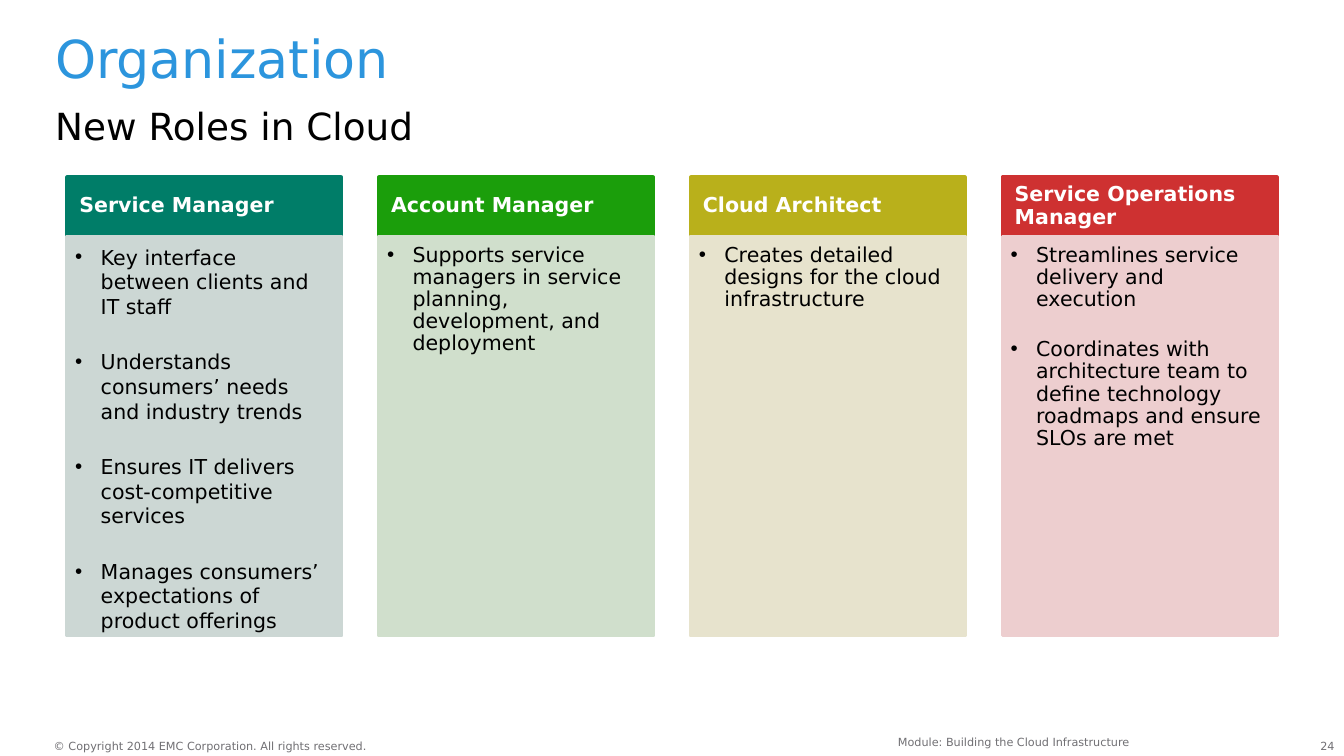
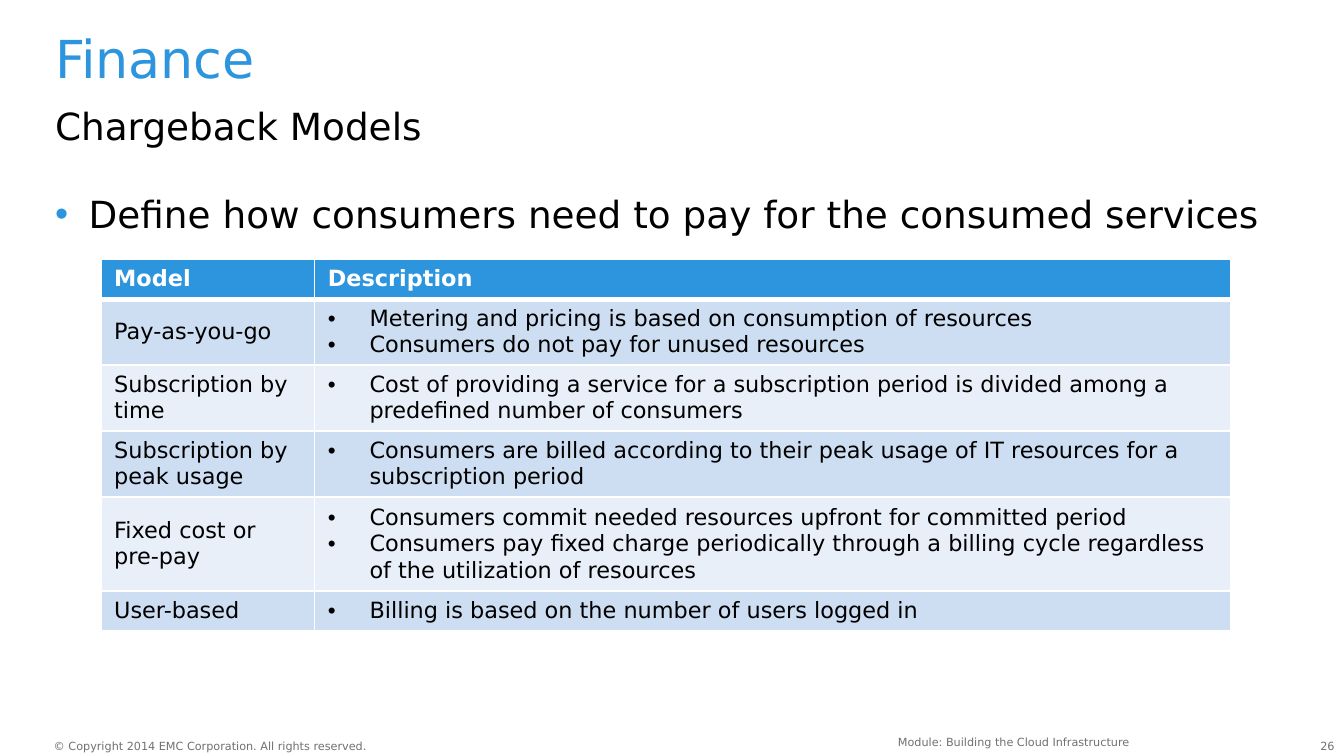
from lxml.etree import SubElement
from pptx import Presentation
from pptx.dml.color import RGBColor
from pptx.enum.shapes import MSO_SHAPE
from pptx.enum.text import MSO_ANCHOR, MSO_AUTO_SIZE, PP_ALIGN
from pptx.oxml.ns import qn
from pptx.util import Inches, Pt

FONT = "DejaVu Sans"
COLORS = {
    "accent": "2C95DD", "text": "000000", "white": "FFFFFF", "footer": "717074",
    "band_dark": "CDDDF2", "band_light": "E8EFF9",
}
COPYRIGHT = "© Copyright 2014 EMC Corporation. All rights reserved."
MODULE = "Module: Building the Cloud Infrastructure"

# role, header colour, body colour, line spacing, gap between duties (pt), duties
ROLES = [
    ("Service Manager", "007D68", "CCD7D4", 1.0, 16.5, [
        "Key interface between clients and IT staff",
        "Understands consumers’ needs and industry trends",
        "Ensures IT delivers cost-competitive services",
        "Manages consumers’ expectations of product offerings"]),
    ("Account Manager", "1B9E0B", "D0DFCC", 0.9, 15, [
        "Supports service managers in service planning, development, and deployment"]),
    ("Cloud Architect", "B9B01B", "E7E3CD", 0.9, 15, [
        "Creates detailed designs for the cloud infrastructure"]),
    ("Service Operations Manager", "CE3131", "EDCECF", 0.9, 15, [
        "Streamlines service delivery and execution",
        "Coordinates with architecture team to define technology roadmaps "
        "and ensure SLOs are met"]),
]

CHARGEBACK_INTRO = "Define how consumers need to pay for the consumed services"
TABLE_HEADER = ("Model", "Description")
# model, row height, descriptions
MODELS = [
    ("Pay-as-you-go", 0.49, [
        "Metering and pricing is based on consumption of resources",
        "Consumers do not pay for unused resources"]),
    ("Subscription by time", 0.49, [
        "Cost of providing a service for a subscription period is divided among "
        "a predefined number of consumers"]),
    ("Subscription by peak usage", 0.49, [
        "Consumers are billed according to their peak usage of IT resources "
        "for a subscription period"]),
    ("Fixed cost or pre-pay", 0.7, [
        "Consumers commit needed resources upfront for committed period",
        "Consumers pay fixed charge periodically through a billing cycle "
        "regardless of the utilization of resources"]),
    ("User-based", 0.28, ["Billing is based on the number of users logged in"]),
]


def rgb(hex_color):
    return RGBColor.from_string(hex_color)


def set_bullet(paragraph, indent, color=None):
    """Give the paragraph a hanging bullet, or none when indent is 0."""
    pPr = paragraph._p.get_or_add_pPr()
    pPr.set("marL", str(Inches(indent)))
    pPr.set("indent", str(-Inches(indent)))
    if not indent:
        SubElement(pPr, qn("a:buNone"))
        return
    if color:
        SubElement(SubElement(pPr, qn("a:buClr")), qn("a:srgbClr"), val=color)
    SubElement(pPr, qn("a:buFont"), typeface="Arial")
    SubElement(pPr, qn("a:buChar"), char="•")


def write(frame, lines, size, color=COLORS["text"], bold=False, align=PP_ALIGN.LEFT,
          indent=0, bullet_color=None, spacing=1.0, gap=0):
    """Fill a text frame with one paragraph per line."""
    frame.text = "\n".join(lines)
    for index, paragraph in enumerate(frame.paragraphs):
        set_bullet(paragraph, indent, bullet_color)
        paragraph.alignment = align
        paragraph.line_spacing = spacing
        paragraph.space_before = Pt(gap if index else 0)
        paragraph.space_after = Pt(0)
        for run in paragraph.runs:
            run.font.name = FONT
            run.font.size = Pt(size)
            run.font.bold = bold
            run.font.color.rgb = rgb(color)


def set_frame(frame, margins=(0, 0, 0, 0), anchor=MSO_ANCHOR.TOP, wrap=True):
    frame.auto_size = MSO_AUTO_SIZE.NONE
    frame.word_wrap = wrap
    frame.vertical_anchor = anchor
    (frame.margin_left, frame.margin_top,
     frame.margin_right, frame.margin_bottom) = map(Inches, margins)


def fill_placeholder(placeholder, box, text, size, **style):
    (placeholder.left, placeholder.top,
     placeholder.width, placeholder.height) = map(Inches, box)
    set_frame(placeholder.text_frame)
    write(placeholder.text_frame, [text], size, **style)


def add_footer(slide, box, text, margins=(0, 0, 0, 0), align=PP_ALIGN.RIGHT, wrap=True):
    frame = slide.shapes.add_textbox(*map(Inches, box)).text_frame
    set_frame(frame, margins, wrap=wrap)
    write(frame, [text], 6, COLORS["footer"], align=align)


def add_slide(prs, layout, title, subtitle, number):
    slide = prs.slides.add_slide(prs.slide_layouts[layout])
    fill_placeholder(slide.shapes.title, (0.41, 0.25, 9.25, 0.5), title, 28,
                     color=COLORS["accent"], spacing=0.9)
    fill_placeholder(slide.placeholders[1], (0.41, 0.77, 9.24, 0.33), subtitle, 20)
    add_footer(slide, (9.62, 5.5, 0.31, 0.1), str(number))
    add_footer(slide, (0.4, 5.5, 2.37, 0.1), COPYRIGHT, align=PP_ALIGN.LEFT, wrap=False)
    add_footer(slide, (2.83, 5.42, 5.67, 0.15), MODULE, (0.1, 0.05, 0.1, 0.05))
    return slide


def add_block(slide, box, color, margins, anchor):
    block = slide.shapes.add_shape(MSO_SHAPE.RECTANGLE, *map(Inches, box))
    block.shadow.inherit = False
    block.fill.solid()
    block.fill.fore_color.rgb = rgb(color)
    block.line.color.rgb = rgb(color)
    block.line.width = Pt(2)
    set_frame(block.text_frame, margins, anchor)
    return block


def add_role_columns(slide):
    left, top, width, pitch = 0.5, 1.32, 2.04, 2.32
    header_height, body_top, body_height = 0.43, 1.76, 2.97
    for index, (role, header_color, body_color, spacing, gap, duties) in enumerate(ROLES):
        x = left + index * pitch
        header = add_block(slide, (x, top, width, header_height), header_color,
                           (0.09, 0.05, 0.09, 0.05), MSO_ANCHOR.MIDDLE)
        write(header.text_frame, [role], 11, COLORS["white"], bold=True, spacing=0.9)
        body = add_block(slide, (x, body_top, width, body_height), body_color,
                         (0.06, 0.06, 0.09, 0.1), MSO_ANCHOR.TOP)
        write(body.text_frame, duties, 11, indent=0.19, spacing=spacing, gap=gap)


def style_cell(cell, fill, top_width=1, bottom_width=1):
    tcPr = cell._tc.get_or_add_tcPr()
    for side, width in (("L", 1), ("R", 1), ("T", top_width), ("B", bottom_width)):
        border = SubElement(tcPr, qn(f"a:ln{side}"), w=str(Pt(width)))
        SubElement(SubElement(border, qn("a:solidFill")), qn("a:srgbClr"),
                   val=COLORS["white"])
    cell.fill.solid()
    cell.fill.fore_color.rgb = rgb(fill)
    cell.vertical_anchor = MSO_ANCHOR.MIDDLE


def add_model_table(slide):
    widths = (1.59, 6.82)
    heights = [0.28] + [height for _, height, _ in MODELS]
    table = slide.shapes.add_table(
        len(heights), len(widths), Inches(0.75), Inches(1.93),
        Inches(sum(widths)), Inches(sum(heights))).table
    table.horz_banding = False
    for column, width in zip(table.columns, widths):
        column.width = Inches(width)
    for row, height in zip(table.rows, heights):
        row.height = Inches(height)

    for column, heading in enumerate(TABLE_HEADER):
        cell = table.cell(0, column)
        style_cell(cell, COLORS["accent"], bottom_width=3)
        write(cell.text_frame, [heading], 12, COLORS["white"], bold=True)
    for row, (model, _, descriptions) in enumerate(MODELS, start=1):
        band = COLORS["band_dark" if row % 2 else "band_light"]
        for column, (lines, indent) in enumerate((([model], 0), (descriptions, 0.31))):
            cell = table.cell(row, column)
            style_cell(cell, band, top_width=3 if row == 1 else 1)
            write(cell.text_frame, lines, 12, indent=indent)


def main():
    prs = Presentation()
    prs.slide_width = Inches(10)
    prs.slide_height = prs.slide_width * 9 // 16

    organization = add_slide(prs, 0, "Organization", "New Roles in Cloud", 24)
    add_role_columns(organization)

    finance = add_slide(prs, 3, "Finance", "Chargeback Models", 26)
    fill_placeholder(finance.placeholders[2], (0.41, 1.42, 9.25, 3.42), CHARGEBACK_INTRO,
                     20, indent=0.25, bullet_color=COLORS["accent"])
    add_model_table(finance)

    prs.save("out.pptx")


if __name__ == "__main__":
    main()
